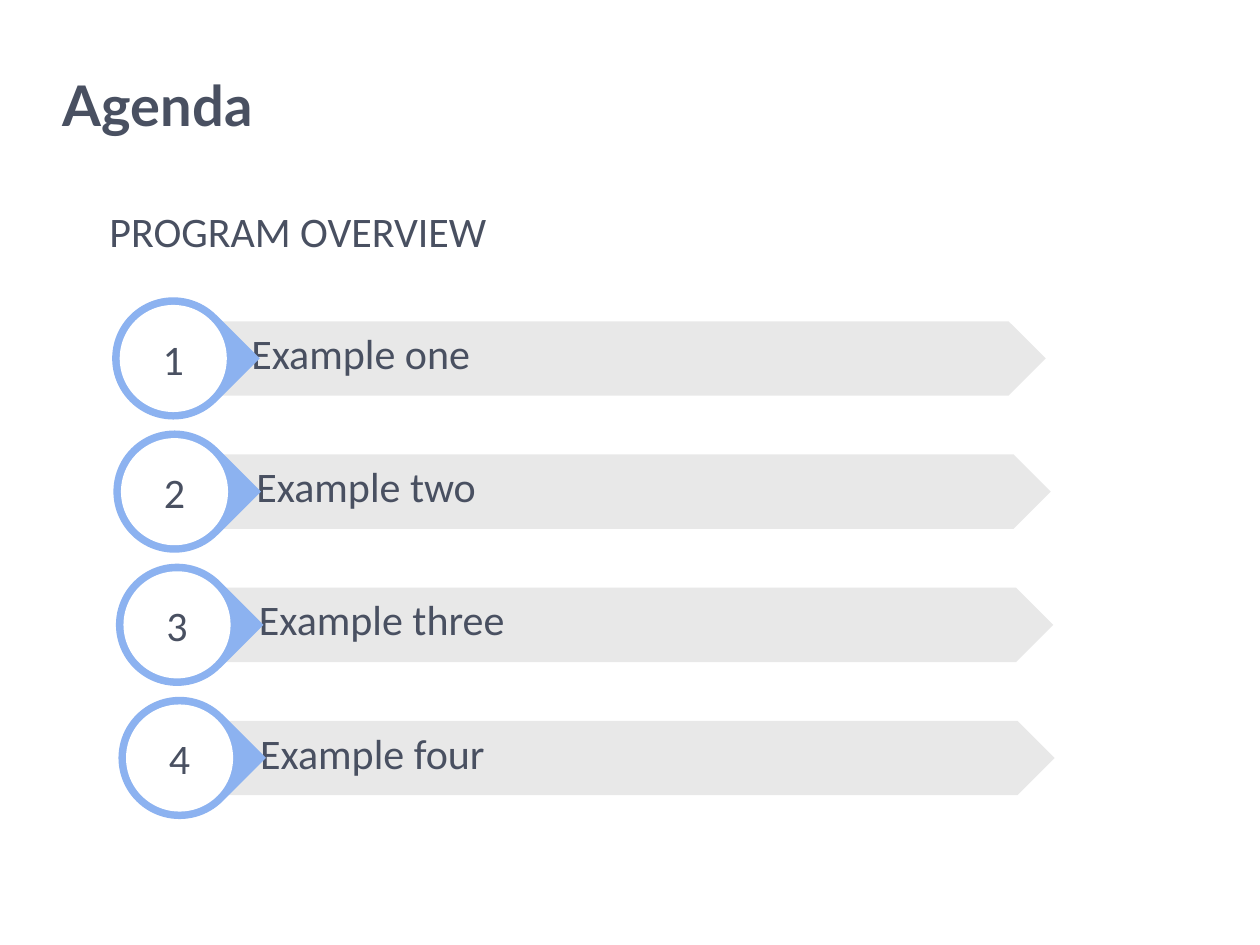
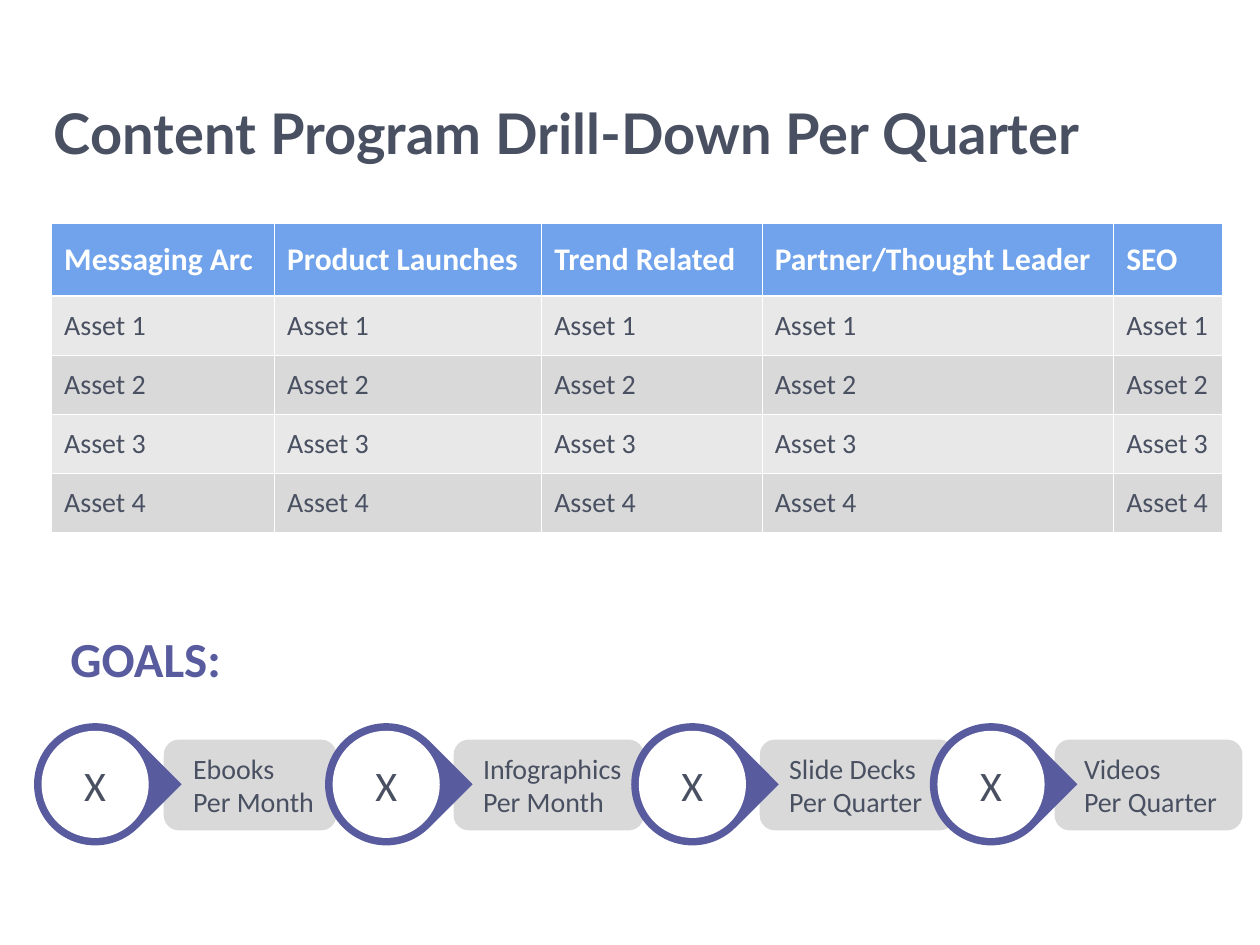
from lxml import etree
from pptx import Presentation
from pptx import util as u
from pptx.dml.color import RGBColor
from pptx.enum import shapes, text
from pptx.oxml.ns import qn

# Shared look
INK, WHITE, LIGHT, GREY = "495061", "FFFFFF", "E8E8E8", "D9D9D9"
SKY, HEAD, PLUM = "8CB2F0", "70A3EB", "595B9F"
BODY, TITLE = "Calibri", "Lato"
COLS, ROWS = 100, 75  # slide grid
SHAPE, ANCHOR = shapes.MSO_SHAPE, text.MSO_ANCHOR

prs = Presentation()
prs.slide_width, prs.slide_height = u.Inches(10), u.Inches(7.5)


def hue(code):
    return RGBColor.from_string(code)


def across(cols):
    return round(prs.slide_width * cols / COLS)


def down(rows):
    return round(prs.slide_height * rows / ROWS)


def spots(box):
    x, y, w, h = box
    return across(x), down(y), across(w), down(h)


def write(frame, words, size, color=INK, font=BODY, bold=False, indent=0,
          center=False, anchor=ANCHOR.TOP):
    """Fill a text frame, one paragraph per line of words."""
    frame.word_wrap = True
    frame.vertical_anchor = anchor
    frame.text = words
    for par in frame.paragraphs:
        par.alignment = text.PP_ALIGN.CENTER if center else text.PP_ALIGN.LEFT
        if indent:
            par._p.get_or_add_pPr().set("marL", str(across(indent)))
        face = par.font
        face.name, face.size, face.bold = font, u.Pt(size), bold
        face.color.rgb = hue(color)


def label(slide, box, words, size, **look):
    frame = slide.shapes.add_textbox(*spots(box)).text_frame
    write(frame, words, size, **look)
    return frame


def shape(slide, kind, box, color):
    item = slide.shapes.add_shape(kind, *spots(box))
    item.shadow.inherit = False
    item.fill.solid()
    item.fill.fore_color.rgb = hue(color)
    item.line.fill.background()
    return item


def page(title, box, indent=0):
    slide = prs.slides.add_slide(prs.slide_layouts[6])
    label(slide, box, title, 32, font=TITLE, bold=True, indent=indent)
    return slide


def badge(slide, x, y, mark, color):
    """Ring with a pointer to the right and a mark in its white disc."""
    drop, disc = 9.7, 8.5
    gap = (drop - disc) / 2
    shape(slide, SHAPE.TEAR, (x, y, drop, drop), color).rotation = 45
    face = shape(slide, SHAPE.OVAL, (x + gap, y + gap, disc, disc), WHITE)
    write(face.text_frame, mark, 24, center=True, anchor=ANCHOR.MIDDLE)


def step(slide, x, y, number, words, shift):
    """Agenda row: chevron band behind a numbered badge."""
    band = shape(slide, SHAPE.CHEVRON, (x + shift, y + 1.9, 66, 5.9), LIGHT)
    write(band.text_frame, words, 24)
    band.text_frame.margin_left = 0
    badge(slide, x, y, str(number), SKY)


def goal(slide, x, y, words, shift, wide):
    """Goal: rounded card behind a badge."""
    card = shape(slide, SHAPE.ROUNDED_RECTANGLE,
                 (x + shift, y + 1.3, wide, 7.2), GREY)
    write(card.text_frame, words, 16, indent=1, anchor=ANCHOR.MIDDLE)
    badge(slide, x, y, "X", PLUM)


def edge(cell, side, width):
    line = etree.SubElement(cell._tc.get_or_add_tcPr(), qn("a:ln" + side),
                            w=str(u.Pt(width)))
    fill = etree.SubElement(line, qn("a:solidFill"))
    etree.SubElement(fill, qn("a:srgbClr"), val=WHITE)


def grid(slide, box, heads, wides, talls):
    """Table with a bold head row and alternating asset rows."""
    table = slide.shapes.add_table(len(talls), len(heads), *spots(box)).table
    table.first_row = table.horz_banding = False
    for col, wide in zip(table.columns, wides):
        col.width = across(wide)
    for r, tall in enumerate(talls):
        table.rows[r].height = down(tall)
        for c, head in enumerate(heads):
            cell = table.cell(r, c)
            for side in "LRTB":
                thick = (r, side) in ((0, "B"), (1, "T"))
                edge(cell, side, 1.47 if thick else 0.45)
            cell.fill.solid()
            if r == 0:
                tone = HEAD
                write(cell.text_frame, head, 18, color=WHITE, bold=True)
            else:
                tone = LIGHT if r % 2 else GREY
                write(cell.text_frame, f"Asset {r}", 16)
            cell.fill.fore_color.rgb = hue(tone)
            cell.vertical_anchor = ANCHOR.MIDDLE


def agenda():
    slide = page("Agenda", (0, 5.1, 100, 8.5), indent=4)
    over = label(slide, (7.7, 16.3, 37.1, 4.9), "PROGRAM OVERVIEW", 24)
    over.paragraphs[0].line_spacing = 0.9
    steps = [("Example one", 8.9, 8.1), ("Example two", 9, 8.4),
             ("Example three", 9.2, 8.4), ("Example four", 9.4, 8.3)]
    for i, (words, x, shift) in enumerate(steps):
        step(slide, x, 23.6 + 10.57 * i, i + 1, words, shift)


def quarter():
    slide = page("Content Program Drill-Down Per Quarter",
                 (3.3, 7.3, 94.2, 7.7))
    grid(slide, (4.1, 17.7, 92.9, 24.6),
         ["Messaging Arc", "Product Launches", "Trend Related",
          "Partner/Thought Leader", "SEO"],
         [17.7, 21.2, 17.5, 27.9, 8.6], [5.8] + [4.7] * 4)
    label(slide, (4.6, 49.4, 21.2, 5.7), "GOALS:", 28, color=PLUM, bold=True)
    goals = [("Ebooks\nPer Month", 2.7, 10.3, 13.7),
             ("Infographics\nPer Month", 25.8, 10.2, 15.1),
             ("Slide Decks\nPer Quarter", 50.1, 10.2, 15.5),
             ("Videos\nPer Quarter", 73.8, 9.9, 14.9)]
    for words, x, shift, wide in goals:
        goal(slide, x, 57.4, words, shift, wide)


if __name__ == "__main__":
    agenda()
    quarter()
    prs.save("out.pptx")
